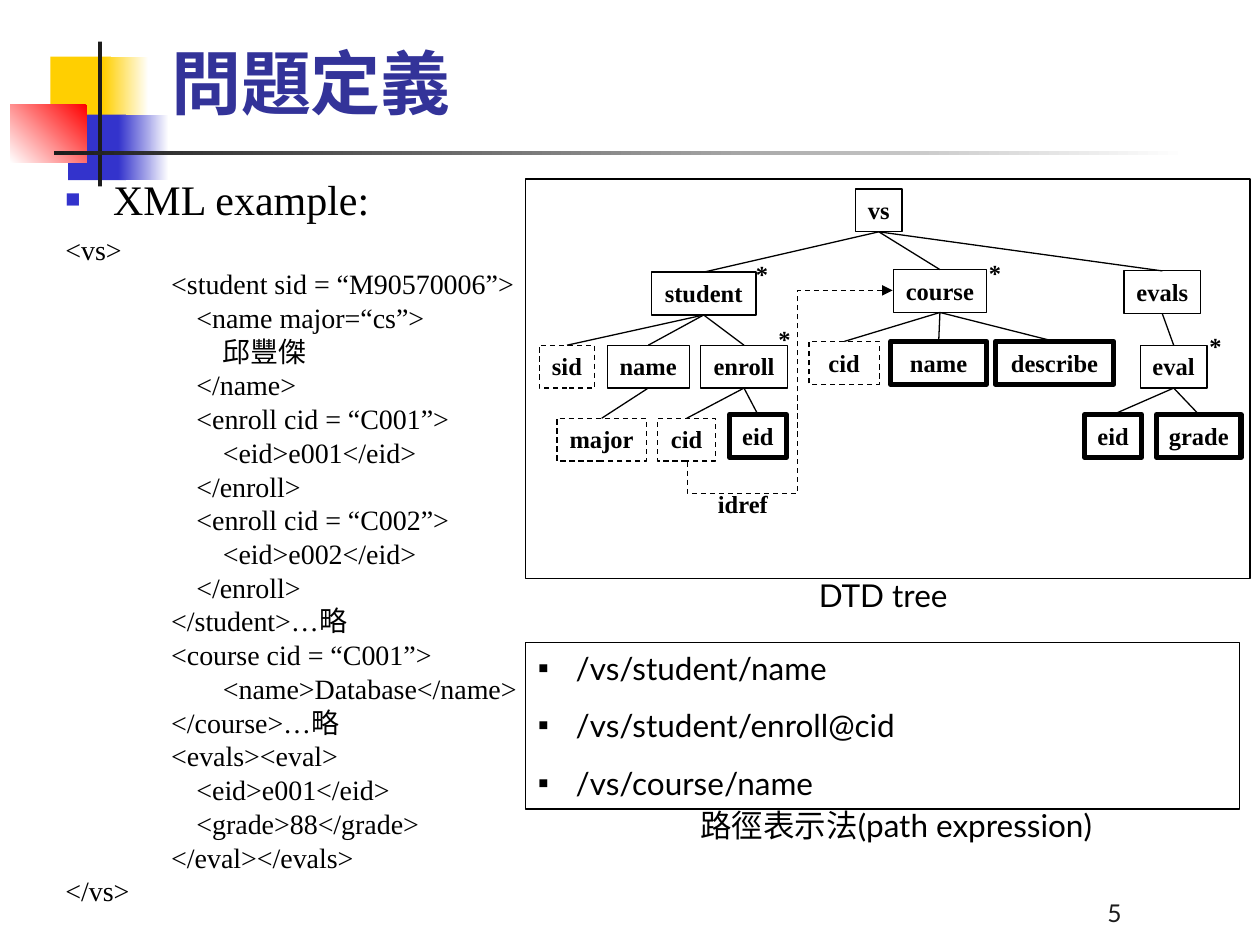
from itertools import repeat
from lxml import etree
from pptx import Presentation
from pptx.dml.color import RGBColor
from pptx.enum.dml import MSO_LINE_DASH_STYLE as Dash
from pptx.enum.shapes import MSO_CONNECTOR as Connector, MSO_SHAPE as Shape
from pptx.enum.text import MSO_ANCHOR as Anchor, MSO_AUTO_SIZE as Fit, PP_ALIGN as Align
from pptx.oxml.ns import qn
from pptx.util import Inches, Pt

BLACK = RGBColor(0x00, 0x00, 0x00)
WHITE = RGBColor(0xFF, 0xFF, 0xFF)
YELLOW = RGBColor(0xFF, 0xCF, 0x01)
BLUE = RGBColor(0x33, 0x33, 0xCC)
RED = RGBColor(0xFF, 0x00, 0x00)
DARK = RGBColor(0x1C, 0x1C, 0x1C)
TITLE = RGBColor(0x33, 0x33, 0x99)
SERIF, SANS, CJK = "Times New Roman", "Lato", "Noto Sans CJK SC"

deck = Presentation()
deck.slide_width, deck.slide_height = Inches(10), Inches(7.5)
page = deck.slides.add_slide(deck.slide_layouts[6])


def add_rectangle(place, line_width=0):
    box = page.shapes.add_shape(Shape.RECTANGLE, *map(Inches, place))
    box.shadow.inherit = False
    box.fill.background()
    if line_width:
        box.line.color.rgb = BLACK
        box.line.width = Pt(line_width)
    else:
        box.line.fill.background()
    return box


def write(box, lines, font, layout=None, wrap=True, anchor=Anchor.TOP, bullet=None, margins=None, hanging=0):
    frame = box.text_frame
    for name, value in {"word_wrap": wrap, "auto_size": Fit.NONE, "vertical_anchor": anchor}.items():
        setattr(frame, name, value)
    for index, (line, margin) in enumerate(zip(lines, margins or repeat(hanging))):
        para = frame.paragraphs[0] if index == 0 else frame.add_paragraph()
        props = para._p.get_or_add_pPr()
        props.set("marL", str(Inches(margin)))
        props.set("indent", str(Inches(-hanging)))
        if bullet:
            symbol, color, size = bullet
            holder = etree.SubElement(props, qn("a:buClr"))
            etree.SubElement(holder, qn("a:srgbClr"), val=str(color))
            etree.SubElement(props, qn("a:buSzPct"), val=str(size * 1000))
            etree.SubElement(props, qn("a:buFont"), typeface=SERIF)
            etree.SubElement(props, qn("a:buChar"), char=symbol)
        for name, value in (layout or {}).items():
            if index or name != "space_before":
                setattr(para, name, value)
        span = para.add_run()
        span.text = line
        span.font.color.rgb = font.get("color", BLACK)
        for name, value in font.items():
            if name != "color":
                setattr(span.font, name, value)
        etree.SubElement(span._r.get_or_add_rPr(), qn("a:ea"), typeface=CJK)


decorations = [
    ((0.4, 0.45, 0.48, 0.52), [YELLOW], 0),
    ((0.82, 0.45, 0.36, 0.52), [WHITE, YELLOW], 180),
    ((0.54, 0.91, 0.46, 0.52), [BLUE], 0),
    ((0.94, 0.91, 0.4, 0.52), [WHITE, BLUE], 180),
    ((0.08, 0.83, 0.61, 0.46), [RED, WHITE], 225),
    ((0.78, 0.33, 0.03, 1.15), [DARK], 0),
    ((0.43, 1.2, 9, 0.03), [WHITE, DARK], 180),
]
for place, colors, angle in decorations:
    box = add_rectangle(place)
    if len(colors) == 1:
        box.fill.solid()
        box.fill.fore_color.rgb = colors[0]
    else:
        box.fill.gradient()
        box.fill.gradient_angle = angle
        for position, (stop, color) in enumerate(zip(box.fill.gradient_stops, colors)):
            stop.position = position
            stop.color.rgb = color

code = [
    (0, "<vs>"),
    (1, "<student sid = “M90570006”>"),
    (2, "<name major=“cs”>"),
    (3, "邱豐傑"),
    (2, "</name>"),
    (2, "<enroll cid = “C001”>"),
    (3, "<eid>e001</eid>"),
    (2, "</enroll>"),
    (2, "<enroll cid = “C002”>"),
    (3, "<eid>e002</eid>"),
    (2, "</enroll>"),
    (1, "</student>…略"),
    (1, "<course cid = “C001”>"),
    (3, "<name>Database</name>"),
    (1, "</course>…略"),
    (1, "<evals><eval>"),
    (2, "<eid>e001</eid>"),
    (2, "<grade>88</grade>"),
    (1, "</eval></evals>"),
    (0, "</vs>"),
]
code_lines = [line for depth, line in code]
code_margins = [(0.5, 1.34, 1.54, 1.75)[depth] for depth, line in code]
paths = ["/vs/student/name", "/vs/student/enroll@cid", "/vs/course/name"]
caption = {"name": SANS, "size": Pt(18)}
label = {"name": SERIF, "size": Pt(14), "bold": True}

texts = [
    ((1.26, 0.17, 8.49, 0.86), ["問題定義"], {"name": CJK, "size": Pt(40), "bold": True, "color": TITLE},
     {"anchor": Anchor.BOTTOM}),
    ((0.42, 1.33, 8.54, 0.5), ["XML example:"], {"name": SERIF, "size": Pt(24)},
     {"bullet": ("■", BLUE, 60), "hanging": 0.38}),
    ((-0.08, 1.83, 4.28, 5.43), code_lines, {"name": SERIF, "size": Pt(16)},
     {"wrap": False, "margins": code_margins,
      "layout": {"line_spacing": 0.9, "space_before": Pt(2)}}),
    ((6.4, 4.52, 1.24, 0.4), ["DTD tree"], caption, {"wrap": False}),
    ((5.46, 6.35, 3.53, 0.4), ["路徑表示法(path expression)"], caption, {"wrap": False}),
    ((5.6, 3.83, 0.6, 0.34), ["idref"], label, {"wrap": False}),
    ((6.92, 6.91, 2.08, 0.5), ["5"], {"name": SANS, "size": Pt(14), "color": DARK},
     {"anchor": Anchor.BOTTOM, "layout": {"alignment": Align.RIGHT}}),
]
for left, top in [(5.9, 2.01), (6.08, 2.52), (7.75, 2), (9.5, 2.58)]:
    texts.append(((left, top, 0.42, 0.34), ["*"], label, {}))
for place, lines, font, options in texts:
    write(page.shapes.add_textbox(*map(Inches, place)), lines, font, **options)

add_rectangle((4.17, 1.42, 5.75, 3.17), 0.75)
path_box = add_rectangle((4.17, 5.1, 5.67, 1.32), 0.75)
write(path_box, paths, caption, {"alignment": Align.LEFT, "space_before": Pt(11.2)},
      bullet=("▪", BLACK, 100), hanging=0.3)

nodes = [
    ("vs", "vs", 6.79, 1.5, 0.37, "plain", None),
    ("student", "student", 5.17, 2.16, 0.83, "plain", "vs"),
    ("course", "course", 7.09, 2.14, 0.74, "plain", "vs"),
    ("evals", "evals", 8.92, 2.15, 0.61, "plain", "vs"),
    ("sid", "sid", 4.28, 2.74, 0.44, "dashed", "student"),
    ("student name", "name", 4.82, 2.74, 0.65, "plain", "student"),
    ("enroll", "enroll", 5.56, 2.74, 0.69, "plain", "student"),
    ("course cid", "cid", 6.42, 2.71, 0.56, "dashed", "course"),
    ("course name", "name", 7.07, 2.71, 0.76, "thick", "course"),
    ("describe", "describe", 7.9, 2.71, 0.94, "thick", "course"),
    ("eval", "eval", 9.05, 2.74, 0.53, "plain", "evals"),
    ("major", "major", 4.42, 3.32, 0.71, "dashed", "student name"),
    ("enroll cid", "cid", 5.22, 3.32, 0.46, "dashed", "enroll"),
    ("enroll eid", "eid", 5.79, 3.29, 0.45, "thick", "enroll"),
    ("eval eid", "eid", 8.61, 3.29, 0.45, "thick", "eval"),
    ("grade", "grade", 9.18, 3.29, 0.67, "thick", "eval"),
]
boxes = {}
links = []
for key, text, left, top, width, style, parent in nodes:
    box = add_rectangle((left, top, width, 0.34), 3 if style == "thick" else 0.75)
    if style == "dashed":
        box.line.dash_style = Dash.DASH
    write(box, [text], label, {"alignment": Align.CENTER}, wrap=False)
    boxes[key] = box
    if parent:
        link = page.shapes.add_connector(Connector.STRAIGHT, 0, 0, 0, 0)
        link.begin_connect(boxes[parent], 2)
        link.end_connect(box, 0)
        links.append(link)

idref = page.shapes.add_connector(Connector.ELBOW, *map(Inches, (6.95, 3.8, 5.59, 2.17)))
properties = idref._element.spPr
properties.find(qn("a:xfrm")).set("rot", str(90 * 60000))
geometry = properties.find(qn("a:prstGeom"))
geometry.set("prst", "bentConnector4")
guides = geometry.find(qn("a:avLst"))
for name, value in {"adj1": -18500, "adj2": 53700}.items():
    etree.SubElement(guides, qn("a:gd"), name=name, fmla=f"val {value}")
links.append(idref)

for link in links:
    link.line.color.rgb = BLACK
    link.line.width = Pt(0.75)
    etree.SubElement(link._element.spPr, qn("a:effectLst"))
idref.line.dash_style = Dash.DASH
etree.SubElement(idref.line._get_or_add_ln(), qn("a:tailEnd"), type="triangle")

deck.save("out.pptx")
